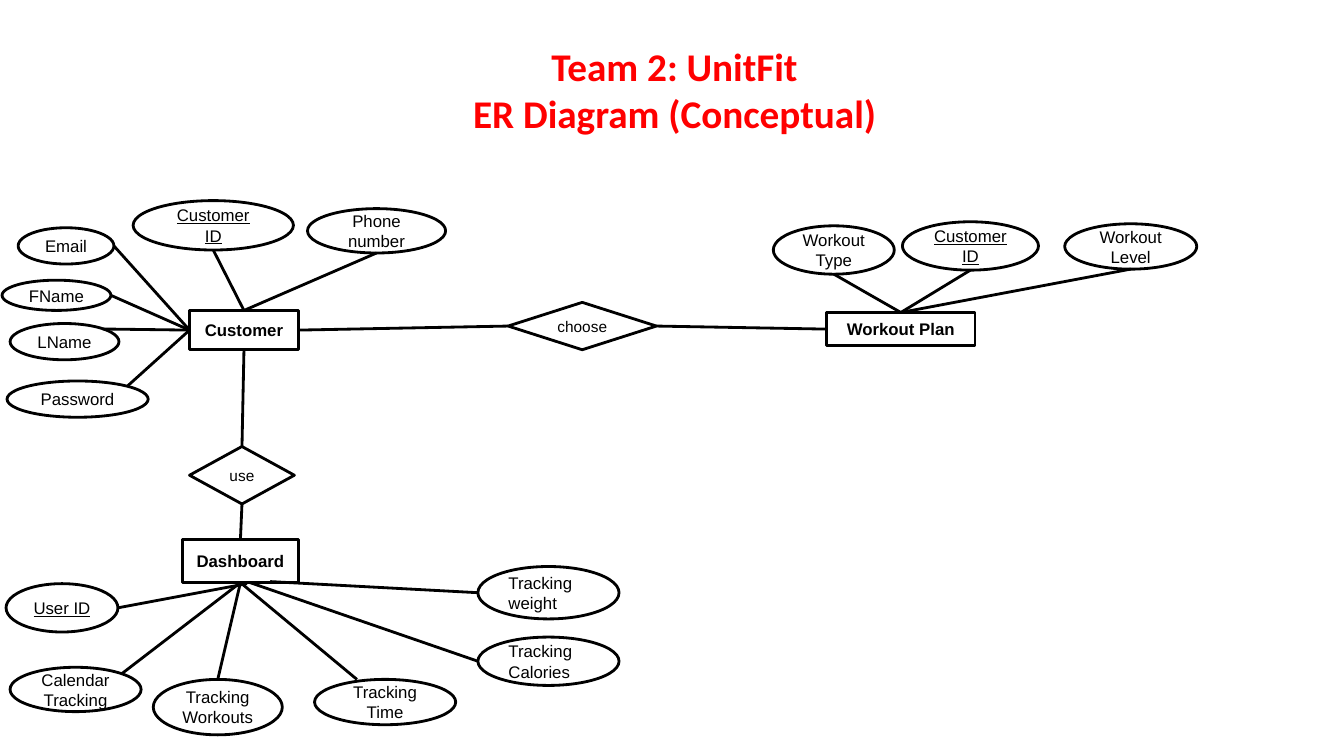
from dataclasses import dataclass
from typing import Optional

from lxml import etree
from pptx import Presentation
from pptx.dml.color import RGBColor
from pptx.enum import shapes, text
from pptx.oxml.ns import qn
from pptx.util import Inches, Pt

BLACK = RGBColor(0, 0, 0)
WHITE = RGBColor(255, 255, 255)
RED = RGBColor(255, 0, 0)

TOP, LEFT, BOTTOM, RIGHT, UPPER_RIGHT = range(5)
SITES = {TOP: (0.5, 0), LEFT: (0, 0.5), BOTTOM: (0.5, 1),
         RIGHT: (1, 0.5), UPPER_RIGHT: (0.85, 0.15)}

RECT = shapes.MSO_SHAPE.RECTANGLE
OVAL = shapes.MSO_SHAPE.OVAL
DIAMOND = shapes.MSO_SHAPE.FLOWCHART_DECISION
Point = tuple[float, float]


@dataclass
class Node:
    label: str
    left: float
    top: float
    width: float
    height: float
    kind: int = OVAL
    size: int = 12
    key: bool = False
    centered: bool = True

    def point(self, site: int) -> Point:
        fx, fy = SITES[site]
        return self.left + fx * self.width, self.top + fy * self.height


@dataclass
class Attribute:
    node: Node
    site: int
    owner: Node
    owner_site: int
    owner_point: Optional[Point] = None
    own_point: Optional[Point] = None


@dataclass
class Relation:
    entity: Node
    entity_site: int
    diamond: Node
    diamond_site: int


customer = Node("Customer", 1.88, 3.08, 1.08, 0.39, RECT)
plan = Node("Workout Plan", 8.2, 3.1, 1.47, 0.33, RECT)
dashboard = Node("Dashboard", 1.81, 5.35, 1.15, 0.43, RECT)
choose = Node("choose", 5.04, 3, 1.47, 0.47, DIAMOND, 11)
use = Node("use", 1.88, 4.43, 1.04, 0.57, DIAMOND, 11)

ATTRIBUTES = [
    Attribute(Node("FName", 0.02, 2.78, 1.08, 0.3), RIGHT, customer, LEFT),
    Attribute(Node("LName", 0.1, 3.21, 1.08, 0.36), UPPER_RIGHT, customer, LEFT),
    Attribute(Node("Password", 0.07, 3.78, 1.4, 0.36), UPPER_RIGHT, customer, LEFT),
    Attribute(Node("Email", 0.18, 2.26, 0.95, 0.36), RIGHT, customer, LEFT),
    Attribute(Node("Phone number", 3.05, 2.07, 1.37, 0.44), BOTTOM, customer, TOP),
    Attribute(Node("Customer ID", 1.32, 1.99, 1.59, 0.49, key=True), BOTTOM, customer, TOP),
    Attribute(Node("Workout Type", 7.67, 2.24, 1.2, 0.48), BOTTOM, plan, TOP),
    Attribute(Node("Customer ID", 8.95, 2.2, 1.35, 0.48, key=True), BOTTOM, plan, TOP),
    Attribute(Node("Workout Level", 10.56, 2.22, 1.31, 0.45), BOTTOM, plan, TOP),
    Attribute(Node("Tracking weight", 4.74, 5.62, 1.4, 0.52, centered=False),
              LEFT, dashboard, BOTTOM, (2.68, 5.77)),
    Attribute(Node("Tracking Calories", 4.74, 6.32, 1.4, 0.48, centered=False),
              LEFT, dashboard, BOTTOM, (2.48, 5.78)),
    Attribute(Node("User ID", 0.06, 5.79, 1.11, 0.48, key=True),
              RIGHT, dashboard, BOTTOM, (2.45, 5.79)),
    Attribute(Node("Calendar Tracking", 0.1, 6.62, 1.3, 0.44), UPPER_RIGHT, dashboard, BOTTOM),
    Attribute(Node("Tracking Workouts", 1.52, 6.74, 1.28, 0.55), TOP, dashboard, BOTTOM),
    Attribute(Node("Tracking Time", 3.12, 6.74, 1.4, 0.45),
              TOP, dashboard, BOTTOM, own_point=(3.54, 6.74)),
]

RELATIONS = [
    Relation(customer, RIGHT, choose, LEFT),
    Relation(plan, LEFT, choose, RIGHT),
    Relation(customer, BOTTOM, use, TOP),
    Relation(dashboard, TOP, use, BOTTOM),
]


def draw_node(s, node: Node):
    sp = s.shapes.add_shape(node.kind, Inches(node.left), Inches(node.top),
                            Inches(node.width), Inches(node.height))
    sp.shadow.inherit = False
    sp.fill.solid()
    sp.fill.fore_color.rgb = WHITE
    sp.line.color.rgb = BLACK
    sp.line.width = Pt(2)
    tf = sp.text_frame
    tf.word_wrap = True
    tf.vertical_anchor = text.MSO_ANCHOR.MIDDLE
    p = tf.paragraphs[0]
    p.alignment = text.PP_ALIGN.CENTER if node.centered else text.PP_ALIGN.LEFT
    r = p.add_run()
    r.text = node.label
    r.font.name = "Arial"
    r.font.size = Pt(node.size)
    r.font.color.rgb = BLACK
    r.font.bold = node.kind == RECT
    r.font.underline = node.key
    return sp


def draw_line(s, start: Point, end: Point):
    line = s.shapes.add_connector(shapes.MSO_CONNECTOR.STRAIGHT,
                                  *(Inches(v) for v in start + end))
    line.line.color.rgb = BLACK
    line.line.width = Pt(2)
    etree.SubElement(line._element.spPr, qn("a:effectLst"))
    return line


def draw_attribute(s, attribute: Attribute, owner_sp) -> None:
    sp = draw_node(s, attribute.node)
    start = attribute.own_point or attribute.node.point(attribute.site)
    end = attribute.owner_point or attribute.owner.point(attribute.owner_site)
    line = draw_line(s, start, end)
    if attribute.site == TOP and attribute.own_point is None:
        line.begin_connect(sp, TOP)
    if attribute.owner_point is None:
        line.end_connect(owner_sp, attribute.owner_site)


def draw_title(s, lines: list[str]) -> None:
    title = s.shapes.title
    title.left, title.top = Inches(3.4), Inches(0.37)
    title.width, title.height = Inches(6.58), Inches(1.04)
    tf = title.text_frame
    tf.word_wrap = True
    tf.auto_size = text.MSO_AUTO_SIZE.NONE
    tf.vertical_anchor = text.MSO_ANCHOR.TOP
    for i, content in enumerate(lines):
        p = tf.add_paragraph() if i else tf.paragraphs[0]
        p.alignment = text.PP_ALIGN.CENTER
        r = p.add_run()
        r.text = content
        r.font.name = "Calibri"
        r.font.size = Pt(28)
        r.font.bold = True
        r.font.color.rgb = RED


def main() -> None:
    prs = Presentation()
    prs.slide_width, prs.slide_height = Inches(13.33), Inches(7.5)
    s = prs.slides.add_slide(prs.slide_layouts[5])
    draw_title(s, ["Team 2: UnitFit", "ER Diagram (Conceptual)"])
    drawn = {node.label: draw_node(s, node)
             for node in (customer, plan, dashboard, choose, use)}
    for attribute in ATTRIBUTES:
        draw_attribute(s, attribute, drawn[attribute.owner.label])
    for rel in RELATIONS:
        line = draw_line(s, rel.entity.point(rel.entity_site),
                         rel.diamond.point(rel.diamond_site))
        line.begin_connect(drawn[rel.entity.label], rel.entity_site)
        line.end_connect(drawn[rel.diamond.label], rel.diamond_site)
    prs.save("out.pptx")


if __name__ == "__main__":
    main()
